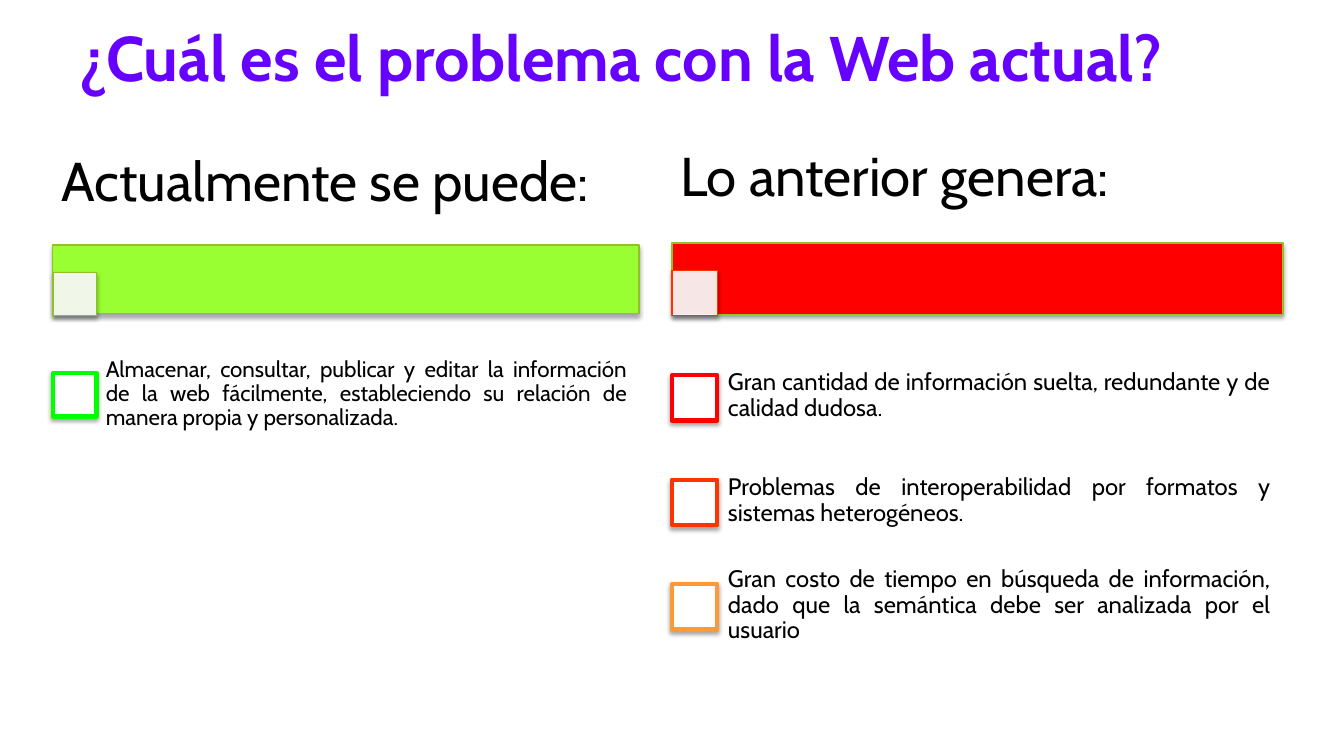
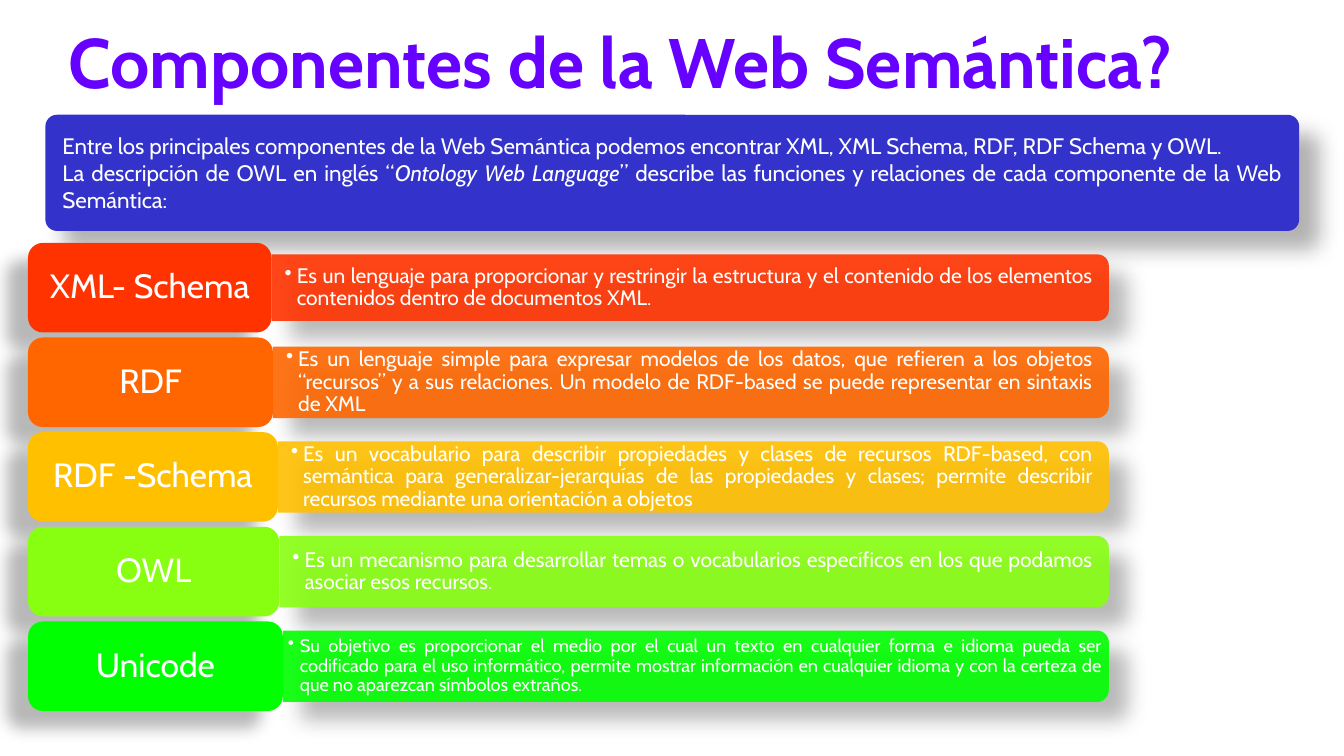
from dataclasses import dataclass

from lxml import etree
from pptx import Presentation
from pptx.dml.color import RGBColor
from pptx.enum.shapes import MSO_SHAPE
from pptx.enum.text import MSO_ANCHOR, MSO_AUTO_SIZE, PP_ALIGN
from pptx.oxml.ns import qn
from pptx.util import Pt

RECTANGLE = MSO_SHAPE.RECTANGLE
ROUNDED = MSO_SHAPE.ROUNDED_RECTANGLE
TOP_ROUNDED = MSO_SHAPE.ROUND_2_SAME_RECTANGLE
TOP, MIDDLE = MSO_ANCHOR.TOP, MSO_ANCHOR.MIDDLE
CENTER, JUSTIFY = PP_ALIGN.CENTER, PP_ALIGN.JUSTIFY
COMPARISON, TITLE_ONLY = 4, 5


@dataclass(frozen=True)
class Shadow:
    opacity: int
    blur: float
    distance: float
    angle: int


@dataclass(frozen=True)
class Theme:
    font: str = "Cabin"
    title: str = "6600FF"
    title_outline: str = "CC00FF"
    dark: str = "000000"
    light: str = "FFFFFF"
    accent: str = "90C226"
    lime: str = "99FF33"
    red: str = "FF0000"
    vermilion: str = "FF3300"
    apricot: str = "FF9933"
    orange: str = "FF6600"
    amber: str = "FFC000"
    yellow_green: str = "88FF11"
    green: str = "00FF00"
    blue: str = "3333CC"
    problem_title_size: int = 45
    components_title_size: int = 50
    heading_size: int = 39
    label_size: int = 24
    right_list_size: int = 17
    body_size: int = 16
    detail_size: int = 15
    small_size: int = 13
    tight: float = 0.9
    opacity: int = 90
    thin: int = 1
    thick: int = 3
    flat_shadow: Shadow = Shadow(35, 3, 2, 90)
    bar_shadow: Shadow = Shadow(30, 15, 18, 45)
    label_shadow: Shadow = Shadow(28, 11.8, 19.7, 141)


def add_child(parent, tag, **attributes):
    return etree.SubElement(
        parent, qn(tag), {name: str(value) for name, value in attributes.items()})


class Deck:
    def __init__(self, theme):
        self.theme = theme
        self.presentation = Presentation()
        self.presentation.slide_width = Pt(960)
        self.presentation.slide_height = Pt(540)
        self.slide = None

    def add_slide(self, layout, title, size, height):
        self.slide = self.presentation.slides.add_slide(
            self.presentation.slide_layouts[layout])
        paragraph = self.fill_placeholder(
            0, (11.5, 9.4, 863.5, height), [title], size,
            color=self.theme.title, align=CENTER, spacing=1, bold=True)[0]
        outline = add_child(paragraph.runs[0]._r.get_or_add_rPr(), "a:ln", w=Pt(0.75))
        add_child(add_child(outline, "a:solidFill"), "a:srgbClr",
                  val=self.theme.title_outline)

    def set_text(self, shape, texts, size, color=None, align=JUSTIFY, spacing=None,
                 anchor=MIDDLE, insets=(0, 0), bold=False):
        """Fill a shape; each text is a string or a list of (text, italic) runs."""
        frame = shape.text_frame
        frame.word_wrap = True
        frame.auto_size = MSO_AUTO_SIZE.NONE
        frame.vertical_anchor = anchor
        frame.margin_left = frame.margin_right = Pt(insets[0])
        frame.margin_top = frame.margin_bottom = Pt(insets[1])
        for index, text in enumerate(texts):
            paragraph = frame.add_paragraph() if index else frame.paragraphs[0]
            for words, italic in [(text, None)] if isinstance(text, str) else text:
                run = paragraph.add_run()
                run.text = words
                run.font.italic = italic
            paragraph.alignment = align
            paragraph.line_spacing = spacing or self.theme.tight
            paragraph.space_before = paragraph.space_after = Pt(0)
            paragraph.font.name = self.theme.font
            paragraph.font.size = Pt(size)
            paragraph.font.bold = bold
            paragraph.font.color.rgb = RGBColor.from_string(color or self.theme.dark)
        return frame.paragraphs

    def set_bullet(self, paragraph, indent=0, character=None):
        properties = paragraph._p.get_or_add_pPr()
        properties.set("marL", str(Pt(indent)))
        properties.set("indent", str(-Pt(indent)))
        bullet = (add_child(properties, "a:buChar", char=character) if character
                  else add_child(properties, "a:buNone"))
        properties.find(qn("a:defRPr")).addprevious(bullet)

    def fill_placeholder(self, index, box, texts, size, **style):
        placeholder = self.slide.placeholders[index]
        placeholder.left, placeholder.top, placeholder.width, placeholder.height = map(Pt, box)
        return self.set_text(placeholder, texts, size, **style)

    def add_list(self, index, box, texts, size, gaps):
        paragraphs = self.fill_placeholder(index, box, texts, size, anchor=TOP)
        for paragraph, gap in zip(paragraphs, gaps):
            paragraph.space_before = Pt(gap)
            self.set_bullet(paragraph)

    def add_bullet_text(self, box, text, size, insets):
        shape = self.slide.shapes.add_textbox(*map(Pt, box))
        paragraph = self.set_text(shape, [text], size, color=self.theme.light,
                                  insets=insets)[0]
        self.set_bullet(paragraph, 8.64, "•")

    def add_shape(self, kind, box, fill, shadow, line=None, width=1, opacity=100):
        shape = self.slide.shapes.add_shape(kind, *map(Pt, box))
        shape.fill.solid()
        shape.fill.fore_color.rgb = RGBColor.from_string(fill)
        properties = shape._element.spPr
        if opacity < 100:
            color = properties.find(qn("a:solidFill")).find(qn("a:srgbClr"))
            add_child(color, "a:alpha", val=opacity * 1000)
        if line:
            shape.line.color.rgb = RGBColor.from_string(line)
            shape.line.width = Pt(width)
        else:
            shape.line.fill.background()
        shape.shadow.inherit = False
        outer = add_child(
            properties.find(qn("a:effectLst")), "a:outerShdw", blurRad=Pt(shadow.blur),
            dist=Pt(shadow.distance), dir=shadow.angle * 60000, rotWithShape=0)
        color = add_child(outer, "a:srgbClr", val=self.theme.dark)
        add_child(color, "a:alpha", val=shadow.opacity * 1000)
        return shape

    def add_square(self, left, top, side, line, width, opacity=100):
        self.add_shape(RECTANGLE, (left, top, side, side), self.theme.light,
                       self.theme.flat_shadow, line, width, opacity)

    def add_right_rounded_bar(self, left, middle, width, height, fill):
        """Turn a top-rounded rectangle so that its round corners face right."""
        box = (left + (width - height) / 2, middle - width / 2, height, width)
        bar = self.add_shape(TOP_ROUNDED, box, fill, self.theme.bar_shadow,
                             opacity=self.theme.opacity)
        bar.rotation = 90


def build_problem_slide(deck):
    theme = deck.theme
    deck.add_slide(COMPARISON, "¿Cuál es el problema con la Web actual?",
                   theme.problem_title_size, 62)

    deck.fill_placeholder(1, (38, 87, 419, 88.5), ["Actualmente se puede:"],
                          theme.heading_size, insets=(5.76, 3.6))
    deck.add_shape(RECTANGLE, (37.5, 175, 419, 49), theme.lime,
                   theme.flat_shadow, theme.accent)
    deck.add_square(38, 194.5, 31, theme.accent, theme.thin, theme.opacity)
    deck.add_square(38, 266.5, 31, theme.green, theme.thick)
    deck.add_list(2, (75.6, 255.5, 372.5, 60), [
        "Almacenar, consultar, publicar y editar la información de la web fácilmente, "
        "estableciendo su relación de manera propia y personalizada."],
        theme.body_size, [0])

    deck.fill_placeholder(3, (480, 81.5, 436.5, 92), ["Lo anterior genera:"],
                          theme.heading_size, insets=(5.76, 3.6))
    deck.add_shape(RECTANGLE, (480, 173.5, 436.5, 51), theme.red,
                   theme.flat_shadow, theme.accent)
    deck.add_square(480, 193, 32.4, theme.vermilion, theme.thin, theme.opacity)
    for index, color in enumerate((theme.red, theme.vermilion, theme.apricot)):
        deck.add_square(480, 268 + 74.6 * index, 32.4, color, theme.thick)
    deck.add_list(4, (520, 264.5, 387.5, 206), [
        "Gran cantidad de información suelta, redundante y de calidad dudosa.",
        "Problemas de interoperabilidad por formatos y sistemas heterogéneos.",
        "Gran costo de tiempo en búsqueda de información, dado que la semántica "
        "debe ser analizada por el usuario"],
        theme.right_list_size, [0, 38, 29])


def build_components_slide(deck):
    theme = deck.theme
    deck.add_slide(TITLE_ONLY, "Componentes de la Web Semántica?",
                   theme.components_title_size, 67.6)

    intro = deck.add_shape(ROUNDED, (32.4, 82, 895.6, 83), theme.blue, theme.bar_shadow)
    intro.adjustments[0] = 0.1
    deck.set_text(intro, [
        "Entre los principales componentes de la Web Semántica podemos encontrar XML, "
        "XML Schema, RDF, RDF Schema y OWL.",
        [("La descripción de OWL en inglés “", None),
         ("Ontology Web Language", True),
         ("” describe las funciones y relaciones de cada componente de la Web "
          "Semántica:", None)]],
        theme.body_size, color=theme.light, spacing=1, insets=(9.8, 8.6))

    regular = (theme.detail_size, (9.4, 4.3))
    compact = (theme.small_size, (3.6, 2.2))
    components = [
        ("XML- Schema", theme.vermilion, 174, 47.5, regular,
         "Es un lenguaje para proporcionar y restringir la estructura y el contenido "
         "de los elementos contenidos dentro de documentos XML."),
        ("RDF", theme.orange, 175, 51, regular,
         "Es un lenguaje simple para expresar modelos de los datos, que refieren a los "
         "objetos “recursos” y a sus relaciones. Un modelo de RDF-based se puede "
         "representar en sintaxis de XML"),
        ("RDF -Schema", theme.amber, 178.5, 51, regular,
         "Es un vocabulario para describir propiedades y clases de recursos RDF-based, "
         "con semántica para generalizar-jerarquías de las propiedades y clases; "
         "permite describir recursos mediante una orientación a objetos"),
        ("OWL", theme.yellow_green, 179.5, 51, regular,
         "Es un mecanismo para desarrollar temas o vocabularios específicos en los que "
         "podamos asociar esos recursos."),
        ("Unicode", theme.green, 182, 51, compact,
         "Su objetivo es proporcionar el medio por el cual un texto en cualquier forma "
         "e idioma pueda ser codificado para el uso informático, permite mostrar "
         "información en cualquier idioma y con la certeza de que no aparezcan "
         "símbolos extraños."),
    ]
    left, right, label_height, step = 20, 792, 64, 67.6
    for index, (name, color, width, bar_height, style, description) in enumerate(components):
        top = 173.5 + step * index
        middle = top + label_height / 2
        bar_left = left + width
        size, insets = style
        deck.add_right_rounded_bar(bar_left, middle, right - bar_left, bar_height, color)
        deck.add_bullet_text((bar_left, middle - 23, right - 2 - bar_left, 46),
                             description, size, insets)
        label = deck.add_shape(ROUNDED, (left, top, width, label_height), color,
                               theme.label_shadow)
        deck.set_text(label, [name], theme.label_size, color=theme.light, align=CENTER)


def main():
    deck = Deck(Theme())
    build_problem_slide(deck)
    build_components_slide(deck)
    deck.presentation.save("out.pptx")


if __name__ == "__main__":
    main()
